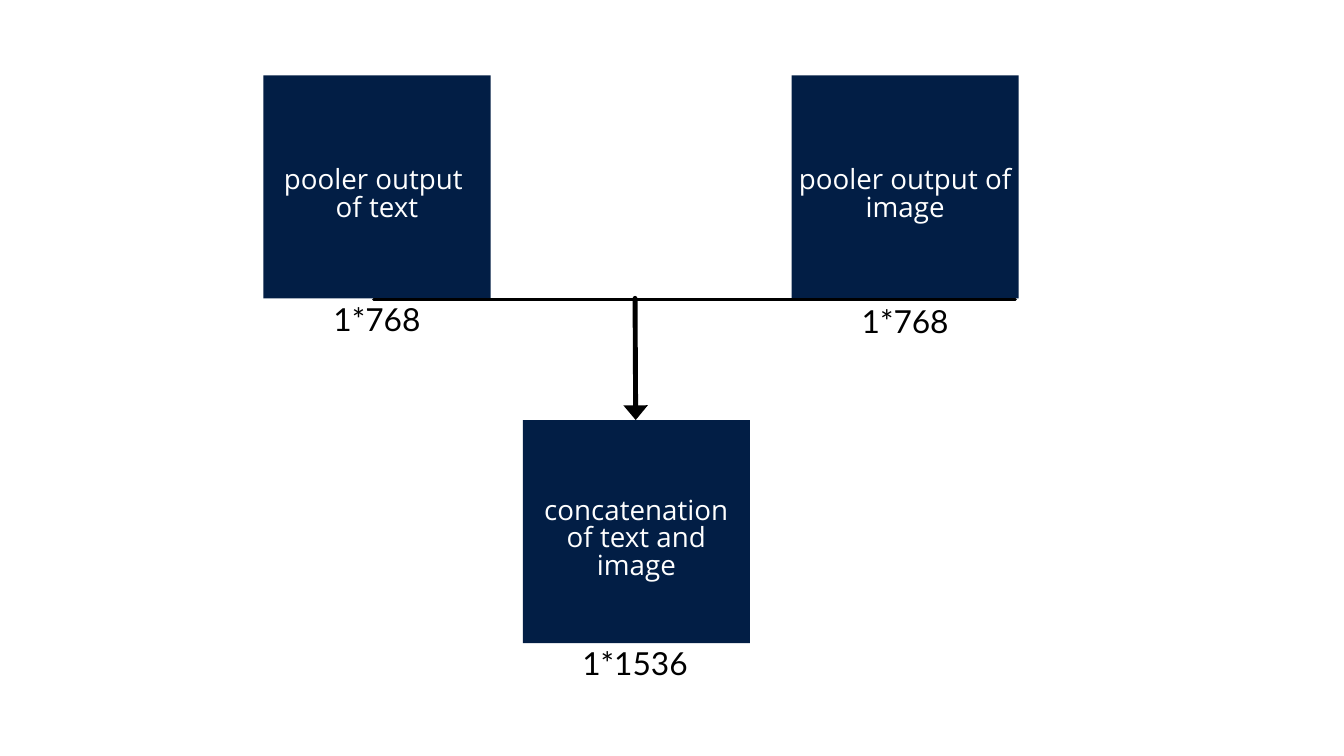
from lxml import etree
from pptx import Presentation
from pptx.dml.color import RGBColor
from pptx.enum.shapes import MSO_CONNECTOR, MSO_SHAPE
from pptx.enum.text import MSO_ANCHOR, PP_ALIGN
from pptx.oxml.ns import qn
from pptx.util import Inches, Pt

NAVY, WHITE, BLACK = "021E45", "FFFFFF", "000000"
BLOCK_WIDTH, BLOCK_HEIGHT = 3.38, 3.32
TEXT_OFFSET = 0.24


def color(value):
    return RGBColor.from_string(value)


def add_text(page, place, lines, font, size, spacing, ink, inset, anchor):
    box = page.shapes.add_textbox(*[Inches(value) for value in place])
    frame = box.text_frame
    frame.word_wrap = True
    frame.vertical_anchor = anchor
    frame.margin_left = frame.margin_right = Inches(inset)
    frame.margin_top = frame.margin_bottom = Inches(inset)
    frame.text = "\n".join(lines)
    for paragraph in frame.paragraphs:
        paragraph.alignment = PP_ALIGN.CENTER
        paragraph.line_spacing = Pt(spacing)
        for span in paragraph.runs:
            span.font.name = font
            span.font.size = Pt(size)
            span.font.color.rgb = color(ink)


deck = Presentation()
deck.slide_width, deck.slide_height = Inches(20), Inches(11.25)
page = deck.slides.add_slide(deck.slide_layouts[6])
page.background.fill.solid()
page.background.fill.fore_color.rgb = color(WHITE)

# Navy blocks with their captions
blocks = [
    (3.92, 1.12, ["pooler output ", "of text"]),
    (11.78, 1.12, ["pooler output of image"]),
    (7.78, 6.25, ["concatenation", "of text and image"]),
]
for left, top, lines in blocks:
    block = page.shapes.add_shape(
        MSO_SHAPE.RECTANGLE, Inches(left), Inches(top),
        Inches(BLOCK_WIDTH), Inches(BLOCK_HEIGHT))
    block.shadow.inherit = False
    block.fill.solid()
    block.fill.fore_color.rgb = color(NAVY)
    block.line.fill.background()
    place = (left, top + TEXT_OFFSET, BLOCK_WIDTH, BLOCK_HEIGHT - TEXT_OFFSET)
    add_text(page, place, lines, "Open Sans", 29.7, 29.7, WHITE, 0.06, MSO_ANCHOR.MIDDLE)

# Joining line and the arrow down to the result
connectors = [
    (9.45, 4.44, 9.46, 6.25, 5.25, True),
    (5.56, 4.46, 15.11, 4.46, 3, False),
]
for x1, y1, x2, y2, width, has_arrow in connectors:
    connector = page.shapes.add_connector(
        MSO_CONNECTOR.STRAIGHT, Inches(x1), Inches(y1), Inches(x2), Inches(y2))
    connector.line.color.rgb = color(BLACK)
    connector.line.width = Pt(width)
    outline = connector.line._get_or_add_ln()
    outline.set("cap", "rnd")
    if has_arrow:
        etree.SubElement(outline, qn("a:tailEnd"), type="triangle", w="lg", len="med")
    etree.SubElement(connector._element.spPr, qn("a:effectLst"))

# Vector sizes under the blocks
sizes = [
    (3.92, 4.37, 3.38, "1*768"),
    (11.78, 4.39, 3.38, "1*768"),
    (8.66, 9.49, 1.58, "1*1536"),
]
for left, top, width, label in sizes:
    add_text(page, (left, top, width, 0.63), [label], "Lato", 34, 47.6, BLACK, 0, MSO_ANCHOR.TOP)

deck.save("out.pptx")
